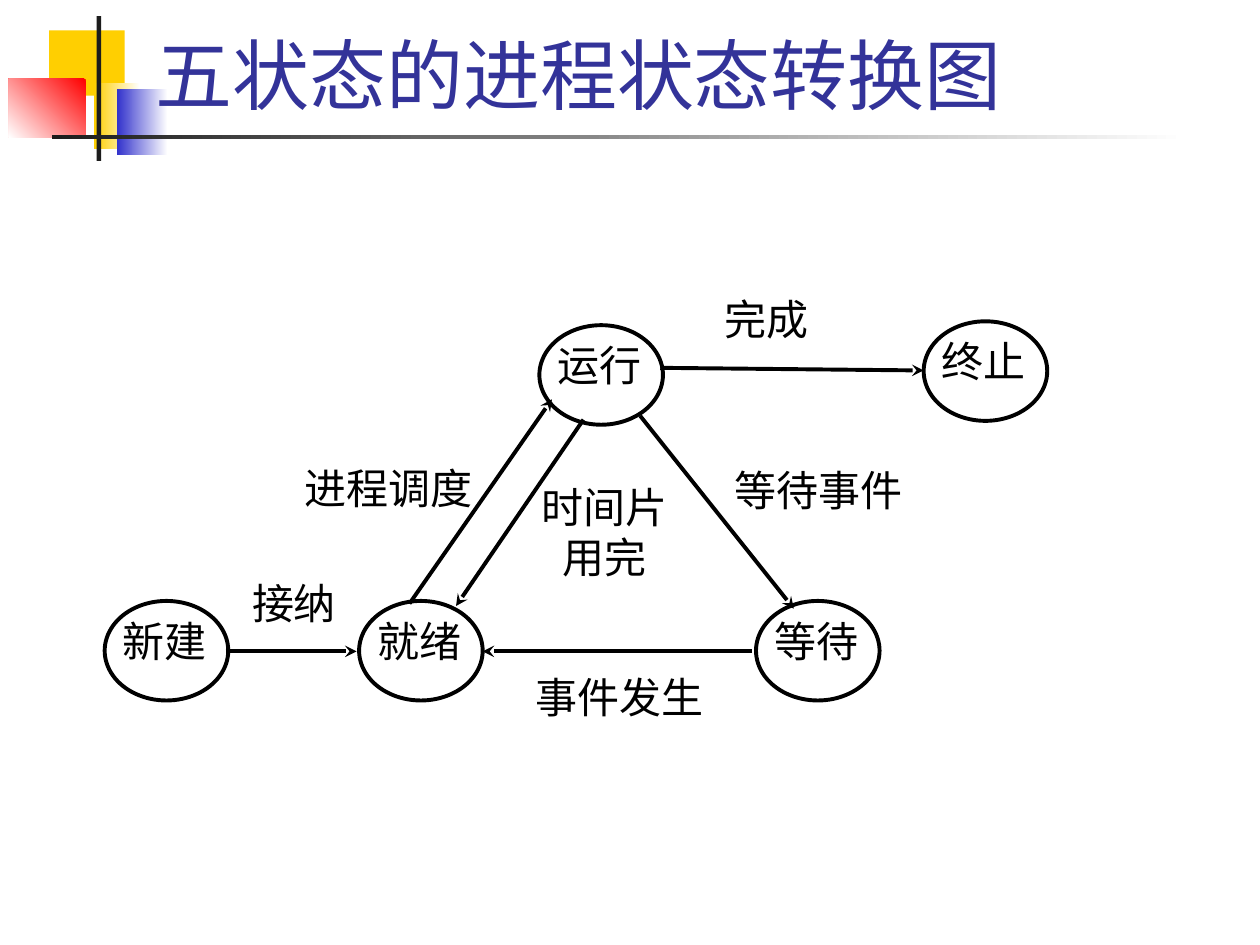
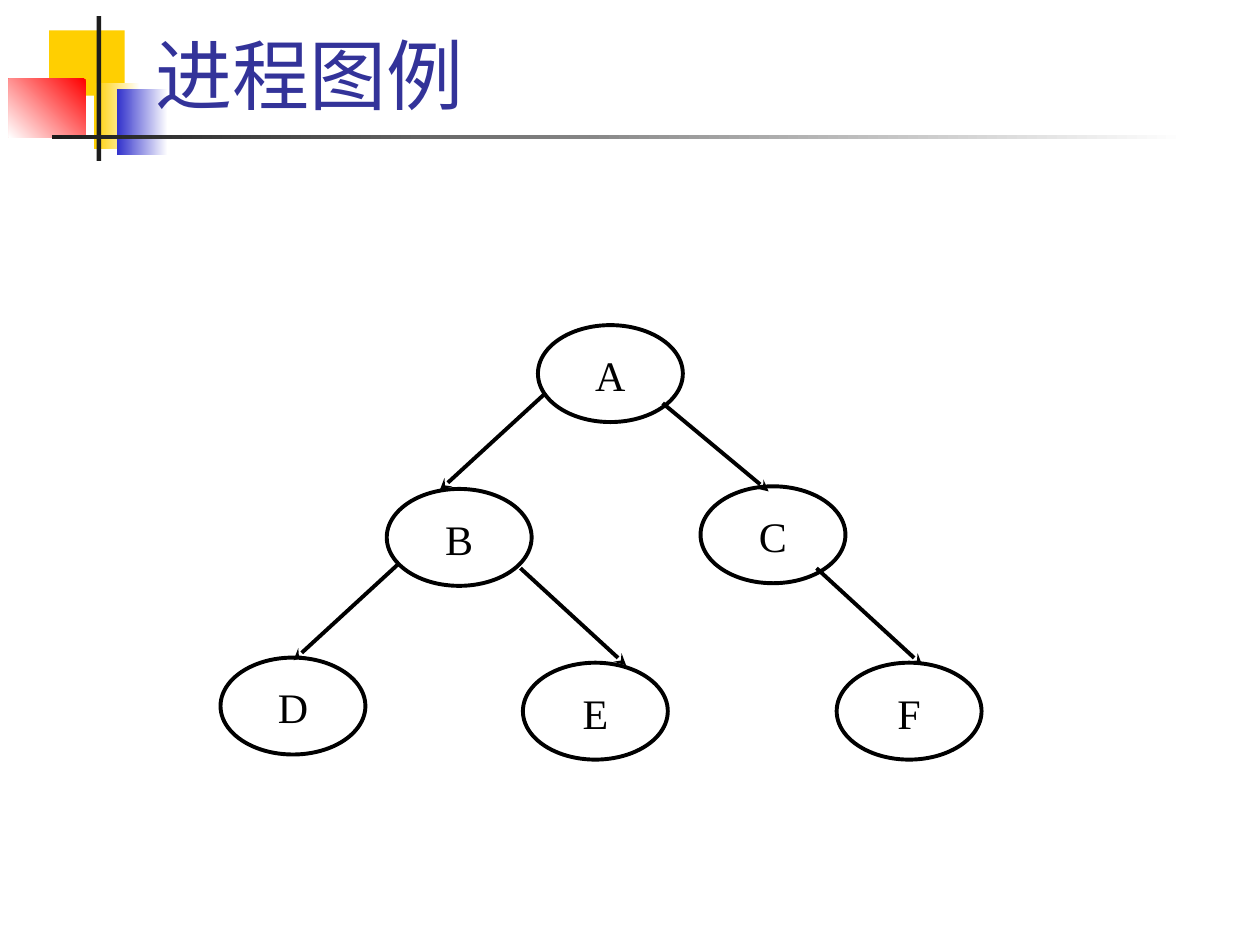
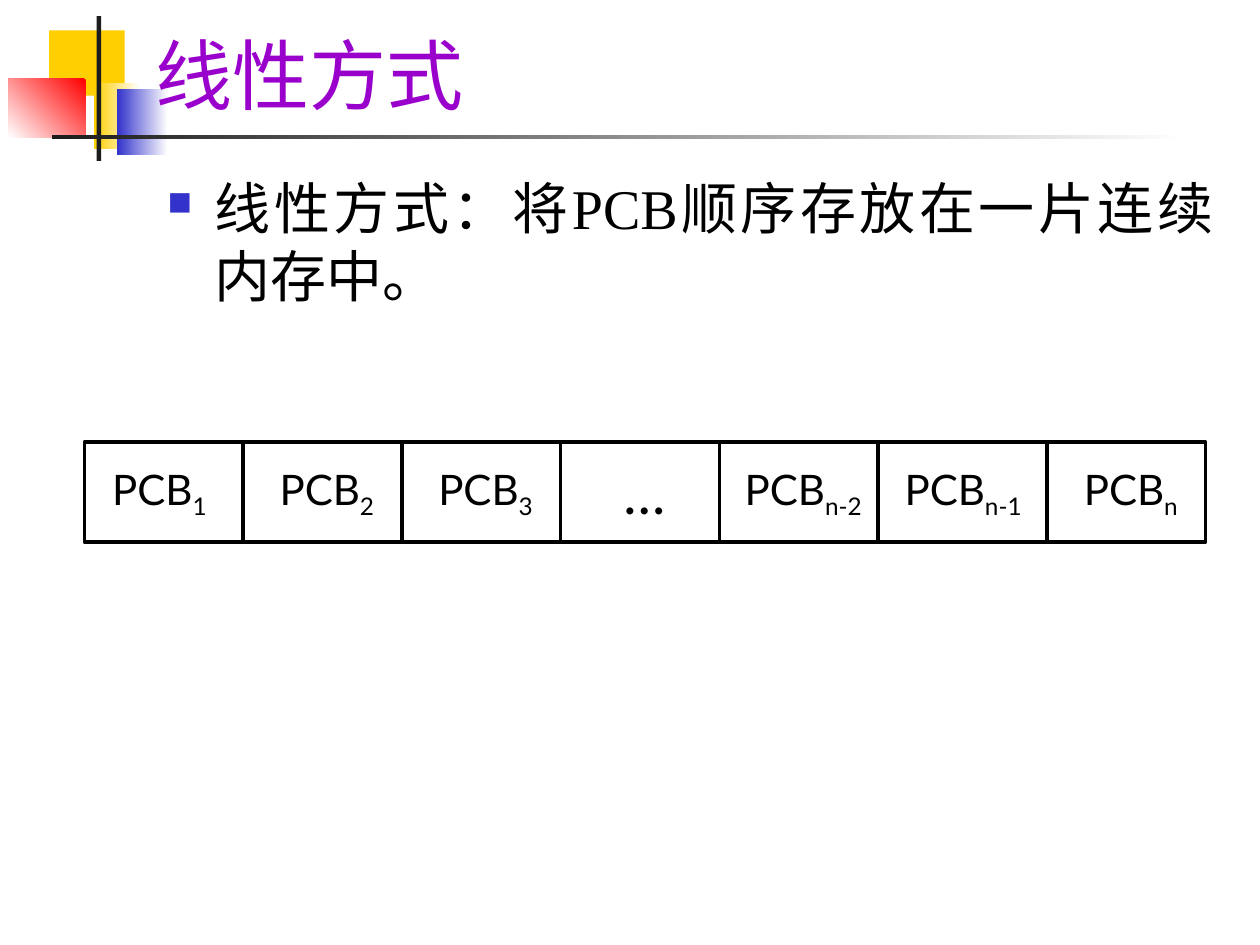
import dataclasses

import lxml.etree
import pptx
import pptx.dml.color
import pptx.enum.lang
import pptx.enum.shapes
import pptx.enum.text
import pptx.oxml.ns
import pptx.util

Pt = pptx.util.Pt
RGB = pptx.dml.color.RGBColor.from_string
qn = pptx.oxml.ns.qn
ALIGN = pptx.enum.text.PP_ALIGN
ANCHOR = pptx.enum.text.MSO_ANCHOR
SHAPE = pptx.enum.shapes.MSO_SHAPE


@dataclasses.dataclass(frozen=True)
class Theme:
    ink: str = "000000"
    paper: str = "FFFFFF"
    bar: str = "1C1C1C"
    yellow: str = "FFCF01"
    red: str = "FF0000"
    blue: str = "3333CC"
    title: str = "333399"
    title_accent: str = "9900CC"
    serif: str = "Times New Roman"
    sans: str = "Lato"
    title_size: float = 44
    body_size: float = 32
    label_size: float = 24
    diagram_line: float = 2.25
    cell_line: float = 2


theme = Theme()
NO_MARGINS = {"margin_left": 0, "margin_top": 0, "margin_right": 0, "margin_bottom": 0}


def write_text(shape, text, size, name=theme.serif, color=theme.ink,
               alignment=ALIGN.JUSTIFY, subscript="", **frame_format):
    """Fill the shape with one paragraph, with an optional subscript at its end."""
    frame = shape.text_frame
    frame_values = {"word_wrap": True, "auto_size": pptx.enum.text.MSO_AUTO_SIZE.NONE,
                    "vertical_anchor": ANCHOR.TOP, **frame_format}
    for key, value in frame_values.items():
        setattr(frame, key, value)
    paragraph = frame.paragraphs[0]
    paragraph.alignment = alignment
    font_values = {"name": name, "size": Pt(size),
                   "language_id": pptx.enum.lang.MSO_LANGUAGE_ID.SIMPLIFIED_CHINESE}
    for part in filter(None, (text, subscript)):
        run = paragraph.add_run()
        run.text = part
        for key, value in font_values.items():
            setattr(run.font, key, value)
        run.font.color.rgb = RGB(color)
    if subscript:
        run._r.get_or_add_rPr().set("baseline", "-25000")
    return paragraph


def add_line(shapes, ends, width, arrow=False):
    connector = shapes.add_connector(
        pptx.enum.shapes.MSO_CONNECTOR.STRAIGHT, *map(Pt, ends))
    connector.line.width = Pt(width)
    connector.line.color.rgb = RGB(theme.ink)
    properties = connector.element.spPr
    if arrow:
        lxml.etree.SubElement(properties.find(qn("a:ln")), qn("a:tailEnd"), type="stealth")
    lxml.etree.SubElement(properties, qn("a:effectLst"))


presentation = pptx.Presentation()
presentation.slide_width, presentation.slide_height = Pt(720), Pt(540)
layout = presentation.slide_layouts[5]

# Slides and titles
titles = [
    ("五状态的进程状态转换图", theme.sans, theme.title),
    ("进程图例", theme.serif, theme.title),
    ("线性方式", theme.serif, theme.title_accent),
]
slides = []
for text, name, color in titles:
    slide = presentation.slides.add_slide(layout)
    title = slide.shapes.title
    title.left, title.top, title.width, title.height = map(Pt, (81.4, 10.1, 613.4, 61.9))
    write_text(title, text, theme.title_size, name, color, ALIGN.LEFT,
               vertical_anchor=ANCHOR.BOTTOM)
    slides.append(slide)

# Corner decoration, moved to the shared layout: box, colours, gradient angle
decoration = [
    ((28.1, 17.3, 43.2, 37.4), [theme.yellow], None),
    ((54, 47.5, 25.9, 37.4), [theme.paper, theme.yellow], 180),
    ((67, 51.1, 28.8, 37.4), [theme.paper, theme.blue], 180),
    ((5, 45.1, 43.9, 33.4), [theme.red, theme.paper], 225),
    ((55.3, 9.2, 2.5, 82.8), [theme.bar], None),
    ((30, 77.2, 648, 2.2), [theme.paper, theme.bar], 180),
]
for position, (box, colors, angle) in enumerate(decoration, start=2):
    block = slides[0].shapes.add_shape(SHAPE.RECTANGLE, *map(Pt, box))
    block.shadow.inherit = False
    block.line.fill.background()
    if angle is None:
        block.fill.solid()
        block.fill.fore_color.rgb = RGB(colors[0])
    else:
        block.fill.gradient()
        block.fill.gradient_angle = angle
        for stop, color in zip(block.fill.gradient_stops, colors):
            stop.color.rgb = RGB(color)
    layout.shapes.element.insert(position, block.element)

# Process states and process tree
state_diagram = {
    "node_size": (70.6, 56.9),
    "node_alignment": ALIGN.JUSTIFY,
    "node_margin_top": 0,
    "nodes": [
        ("运行", 308.2, 185.8), ("就绪", 205.2, 343.4), ("等待", 432, 343.4),
        ("新建", 59.8, 343.4), ("终止", 527.8, 183.6),
    ],
    "arrows": [
        (333.4, 239.8, 260.6, 346.3), (234, 344.9, 315.4, 228.2),
        (365.8, 237.6, 453.6, 347.8), (429.8, 372.2, 275.8, 372.2),
        (128.9, 372.2, 203.8, 372.2), (377.3, 210.2, 527.8, 211.7),
    ],
    "labels": [
        ("进程调度", (174.2, 264.2, 102.2, 34.6), ALIGN.JUSTIFY),
        ("时间片用完", (307.4, 275, 76.3, 61.2), ALIGN.CENTER),
        ("等待事件", (419.8, 265.7, 107.3, 28.1), ALIGN.JUSTIFY),
        ("事件发生", (306, 383.8, 108.7, 36), ALIGN.JUSTIFY),
        ("接纳", (144, 329.8, 54, 30.2), ALIGN.JUSTIFY),
        ("完成", (414, 167.8, 54, 30.2), ALIGN.JUSTIFY),
    ],
}
process_tree = {
    "node_size": (82.8, 55.4),
    "node_alignment": ALIGN.CENTER,
    "node_margin_top": 5.8,
    "nodes": [
        ("A", 307.4, 185.8), ("B", 221, 279.4), ("C", 400.3, 277.9),
        ("D", 126, 375.8), ("E", 298.8, 378.7), ("F", 478.1, 378.7),
    ],
    "arrows": [
        (311.8, 224.6, 251.3, 280.1), (378.7, 230.4, 439.2, 280.8),
        (228.2, 321.8, 167.8, 377.3), (297.4, 324.7, 357.8, 380.2),
        (466.6, 324.7, 527, 380.2),
    ],
    "labels": [],
}
for slide, diagram in zip(slides, (state_diagram, process_tree)):
    node_margins = {**NO_MARGINS, "margin_top": Pt(diagram["node_margin_top"])}
    for text, left, top in diagram["nodes"]:
        node = slide.shapes.add_shape(
            SHAPE.OVAL, *map(Pt, (left, top, *diagram["node_size"])))
        node.shadow.inherit = False
        node.fill.solid()
        node.fill.fore_color.rgb = RGB(theme.paper)
        node.line.color.rgb = RGB(theme.ink)
        node.line.width = Pt(theme.diagram_line)
        write_text(node, text, theme.label_size, alignment=diagram["node_alignment"],
                   **node_margins)
    for ends in diagram["arrows"]:
        add_line(slide.shapes, ends, theme.diagram_line, arrow=True)
    for text, box, alignment in diagram["labels"]:
        label = slide.shapes.add_textbox(*map(Pt, box))
        write_text(label, text, theme.label_size, alignment=alignment, **NO_MARGINS)

# Linear storage: explanation
explanation = slides[2].shapes.add_textbox(*map(Pt, (88.6, 95.8, 612, 110.2)))
paragraph = write_text(explanation, "线性方式：将PCB顺序存放在一片连续内存中。", theme.body_size)
paragraph_properties = paragraph._p.get_or_add_pPr()
paragraph_properties.set("marL", str(Pt(27)))
paragraph_properties.set("indent", str(Pt(-27)))
bullet_color = lxml.etree.SubElement(paragraph_properties, qn("a:buClr"))
lxml.etree.SubElement(bullet_color, qn("a:srgbClr"), val=theme.blue)
lxml.etree.SubElement(paragraph_properties, qn("a:buSzPct"), val="60000")
lxml.etree.SubElement(paragraph_properties, qn("a:buChar"), char="■")

# Linear storage: row of control blocks
row_left, row_top, row_width, row_height = 48.2, 252.7, 640.8, 56.9
row = slides[2].shapes.add_group_shape().shapes
frame = row.add_shape(SHAPE.RECTANGLE, *map(Pt, (row_left, row_top, row_width, row_height)))
frame.shadow.inherit = False
frame.fill.background()
frame.line.color.rgb = RGB(theme.ink)
frame.line.width = Pt(theme.cell_line)
dividers = [139 + 90.7 * column for column in range(5)] + [598.3]
for x in dividers:
    add_line(row, (x, row_top, x, row_top + row_height), theme.cell_line)
cells = [
    ("PCB", "1", 59.8), ("PCB", "2", 155.5), ("PCB", "3", 246.2), ("…", "", 337),
    ("PCB", "n-2", 427.7), ("PCB", "n-1", 519.1), ("PCB", "n", 614.9),
]
for text, subscript, left in cells:
    cell = row.add_textbox(*map(Pt, (left, 264.2, 62.6, 33.8)))
    write_text(cell, text, theme.label_size if subscript else theme.body_size, theme.sans,
               alignment=ALIGN.CENTER, subscript=subscript, word_wrap=False,
               vertical_anchor=ANCHOR.MIDDLE, **NO_MARGINS)

presentation.save("out.pptx")
